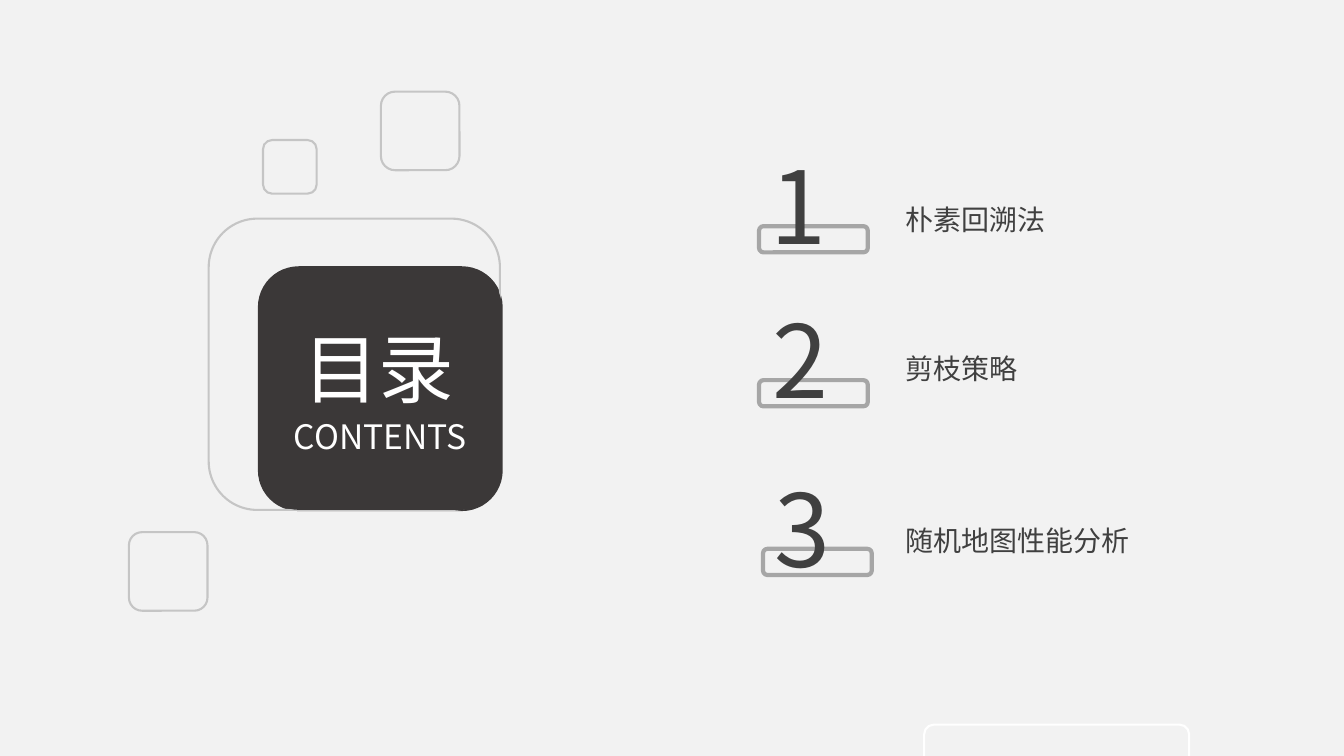
from dataclasses import dataclass

from pptx import Presentation
from pptx.dml.color import RGBColor
from pptx.enum.shapes import MSO_SHAPE
from pptx.enum.text import MSO_ANCHOR as ANCHOR, MSO_AUTO_SIZE as AUTO, PP_ALIGN as ALIGN
from pptx.oxml.ns import qn
from pptx.util import Cm, Pt


@dataclass(frozen=True)
class Theme:
    font: str = "Noto Sans CJK SC"
    paper: str = "F2F2F2"
    dark: str = "3B3838"
    text: str = "404040"
    white: str = "FFFFFF"
    outline: str = "C5C5C5"
    bar: str = "A6A6A6"
    title: int = 54
    subtitle: int = 24
    number: int = 72
    item: int = 20
    thin: float = 1.5
    thick: float = 3


THEME = Theme()
# number, item, row top, number left, bar left, item drop
SECTIONS = [
    ("1", "朴素回溯法", 0, 0, 0.05, 0.38),
    ("2", "剪枝策略", 3.88, 0.05, 0.05, 0.26),
    ("3", "随机地图性能分析", 8.13, 0.12, 0.15, 0.33),
]


def add_tile(s, x, y, w, h, fill=None, line=None, weight=THEME.thin, corner=None):
    sp = s.shapes.add_shape(MSO_SHAPE.ROUNDED_RECTANGLE, Cm(x), Cm(y), Cm(w), Cm(h))
    sp.shadow.inherit = False
    if corner is not None:
        sp.adjustments[0] = corner
    if fill:
        sp.fill.solid()
        sp.fill.fore_color.rgb = RGBColor.from_string(fill)
    else:
        sp.fill.background()
    if line:
        sp.line.color.rgb = RGBColor.from_string(line)
        sp.line.width = Pt(weight)
    else:
        sp.line.fill.background()


def write(sp, text, size, color, wrap=True, anchor=ANCHOR.TOP, insets=(0.25, 0.13)):
    tf = sp.text_frame
    side, end = map(Cm, insets)
    frame = dict(word_wrap=wrap, auto_size=AUTO.NONE, vertical_anchor=anchor,
                 margin_left=side, margin_right=side, margin_top=end, margin_bottom=end)
    for name, value in frame.items():
        setattr(tf, name, value)
    p = tf.paragraphs[0]
    p.alignment = ALIGN.LEFT
    r = p.add_run()
    r.text = text
    for name, value in dict(name=THEME.font, size=Pt(size), bold=False).items():
        setattr(r.font, name, value)
    r.font.color.rgb = RGBColor.from_string(color)
    east_asian = r.font._element.makeelement(qn("a:ea"), {"typeface": THEME.font})
    r.font._element.find(qn("a:latin")).addnext(east_asian)


def add_text(s, x, y, w, h, *args, **kwargs):
    write(s.shapes.add_textbox(Cm(x), Cm(y), Cm(w), Cm(h)), *args, **kwargs)


def add_title_block(s, x, y, side):
    """Dark tile inside a large outline, with the title and subtitle on it."""
    add_tile(s, x + 1.24, y + 1.2, 6.17, 6.17, fill=THEME.dark)
    add_tile(s, x, y, side, side, line=THEME.outline)
    add_tile(s, x + 1.27, y + 1.22, 6.12, 6.12, fill=THEME.dark)
    add_text(s, x + 1.9, y + 4.83, 5.1, 1.27, "CONTENTS", THEME.subtitle, THEME.white, wrap=False)

    title = s.shapes.title
    box = dict(left=x + 2.13, top=y + 2.47, width=4.65, height=2.57)
    for name, value in box.items():
        setattr(title, name, Cm(value))
    write(title, "目录", THEME.title, THEME.white, wrap=False)
    title.element.getparent().append(title.element)  # bring in front of the tile


def add_decoration(s):
    for x, y, side, corner in [(6.63, 3.53, 1.35, None), (3.25, 13.41, 1.98, None),
                               (9.6, 2.31, 1.98, 0.18)]:
        add_tile(s, x, y, side, side, line=THEME.outline, corner=corner)
    add_tile(s, 23.29, 18.26, 6.68, 1.47, line=THEME.white)


def add_sections(s, x, y):
    label = dict(anchor=ANCHOR.MIDDLE, insets=(0.33, 0.18))
    for number, item, row, number_x, bar_x, drop in SECTIONS:
        top = y + row
        add_tile(s, x + bar_x, top + 1.38, 2.74, 0.66, line=THEME.bar, weight=THEME.thick)
        add_text(s, x + number_x, top, 3.76, 1.65, number, THEME.number, THEME.text, **label)
        add_text(s, x + 3.4, top + drop, 7.06, 1.65, item, THEME.item, THEME.text, **label)


def main():
    prs = Presentation()
    prs.slide_width, prs.slide_height = Cm(33.87), Cm(19.05)
    s = prs.slides.add_slide(prs.slide_layouts[5])
    s.background.fill.solid()
    s.background.fill.fore_color.rgb = RGBColor.from_string(THEME.paper)
    add_decoration(s)
    add_title_block(s, 5.26, 5.51, 7.34)
    add_sections(s, 19.08, 4.32)
    prs.save("out.pptx")


if __name__ == "__main__":
    main()
